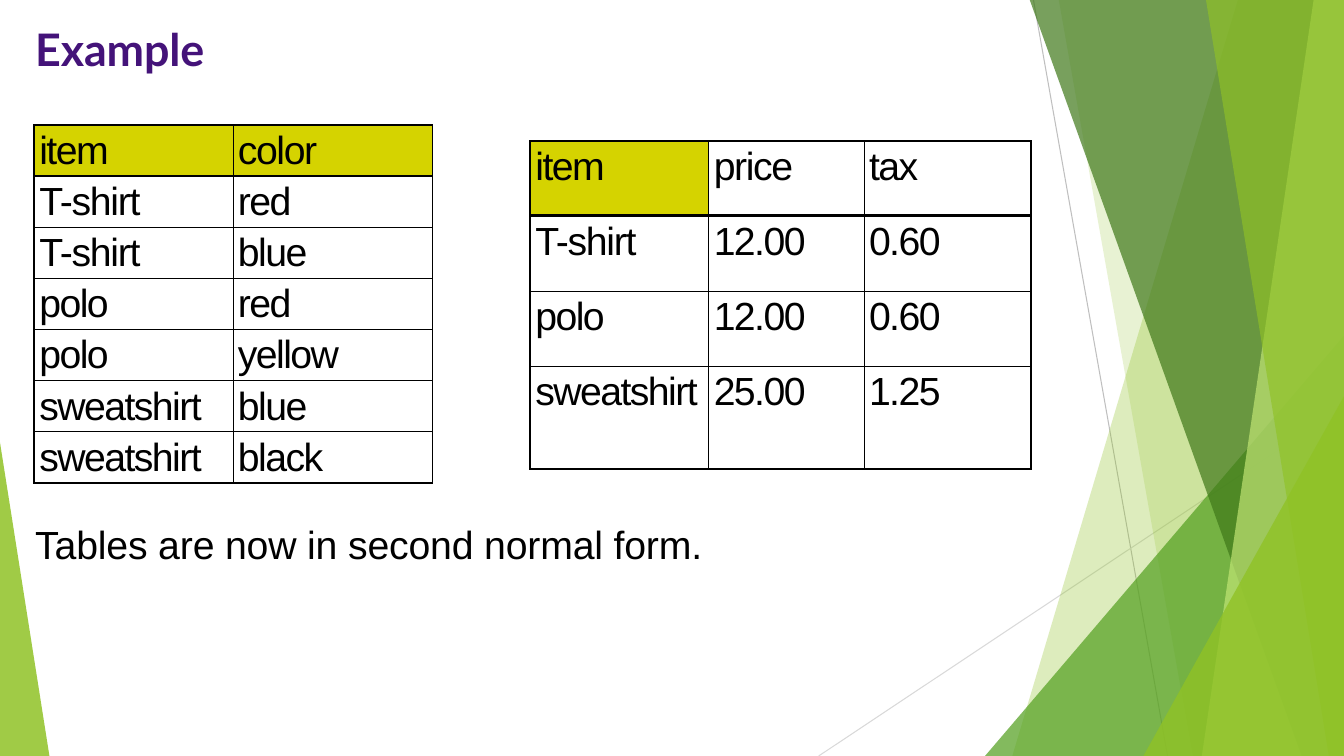
from lxml.etree import SubElement
from pptx import Presentation
from pptx.dml.color import RGBColor
from pptx.enum.shapes import MSO_CONNECTOR, MSO_SHAPE
from pptx.enum.text import MSO_ANCHOR
from pptx.oxml.ns import qn
from pptx.util import Inches, Pt

BLACK = RGBColor(0x00, 0x00, 0x00)
PURPLE = RGBColor(0x44, 0x13, 0x79)
KEY_YELLOW = RGBColor(0xD5, 0xD3, 0x00)
LIME = RGBColor(0x90, 0xC2, 0x26)
GREEN = RGBColor(0x54, 0xA0, 0x21)
DARK_GREEN = RGBColor(0x3F, 0x78, 0x19)
PALE_LIME = RGBColor(0xC0, 0xE4, 0x74)
GREY = RGBColor(0xBF, 0xBF, 0xBF)
LIGHT_GREY = RGBColor(0xD9, 0xD9, 0xD9)

WIDTH, HEIGHT = 13.33, 7.5
THIN, OUTER, HEADER = 0.5, 1.5, 2.25

COLORS = [
    ("item", "color"),
    ("T-shirt", "red"),
    ("T-shirt", "blue"),
    ("polo", "red"),
    ("polo", "yellow"),
    ("sweatshirt", "blue"),
    ("sweatshirt", "black"),
]
PRICES = [
    ("item", "price", "tax"),
    ("T-shirt", "12.00", "0.60"),
    ("polo", "12.00", "0.60"),
    ("sweatshirt", "25.00", "1.25"),
]


def add_ray(slide, start, end, color):
    ray = slide.shapes.add_connector(
        MSO_CONNECTOR.STRAIGHT, *map(Inches, start + end))
    ray.line.color.rgb = color
    ray.line.width = Pt(0.75)
    SubElement(ray._element.spPr, qn("a:effectLst"))


def paint(facet, color, opacity):
    """Fill a facet with a translucent colour and no outline."""
    facet.shadow.inherit = False
    facet.fill.solid()
    facet.fill.fore_color.rgb = color
    facet.line.fill.background()
    srgb = facet._element.spPr.find(qn("a:solidFill"))[0]
    SubElement(srgb, qn("a:alpha")).set("val", str(opacity * 1000))


def add_band(slide, top_x, bottom_x, color, opacity):
    """Draw a band from a slanted left edge to the slide's right edge."""
    top = -0.01
    builder = slide.shapes.build_freeform(Inches(top_x), Inches(top))
    corners = [(WIDTH, top), (WIDTH, HEIGHT), (bottom_x, HEIGHT)]
    builder.add_line_segments([(Inches(x), Inches(y)) for x, y in corners])
    paint(builder.convert_to_shape(), color, opacity)


def add_corner(slide, left, top, width, apex, color, opacity):
    """Draw a right triangle standing on the slide's bottom edge."""
    corner = slide.shapes.add_shape(
        MSO_SHAPE.ISOSCELES_TRIANGLE,
        *map(Inches, (left, top, width, HEIGHT - top)))
    corner.adjustments[0] = apex
    paint(corner, color, opacity)


def write(frame, text, spacing, **formats):
    run = frame.paragraphs[0].add_run()
    run.text = text
    run.font.color.rgb = formats.pop("color", BLACK)
    for name, value in formats.items():
        setattr(run.font, name, value)
    run._r.get_or_add_rPr().set("spc", str(round(spacing * 100)))


def add_text(slide, left, top, width, height, text, **formats):
    frame = slide.shapes.add_textbox(
        *map(Inches, (left, top, width, height))).text_frame
    frame.word_wrap = True
    margins = {"margin_left": 0.01, "margin_top": 0.02,
               "margin_right": 0, "margin_bottom": 0}
    for name, value in margins.items():
        setattr(frame, name, Inches(value))
    write(frame, text, -0.1, **formats)


def set_borders(cell, widths):
    tc_pr = cell._tc.get_or_add_tcPr()
    for side, points in widths.items():
        border = SubElement(tc_pr, qn(f"a:ln{side}"), w=str(Pt(points)))
        fill = SubElement(border, qn("a:solidFill"))
        SubElement(fill, qn("a:srgbClr"), val=str(BLACK))


def add_relation(slide, left, top, col_widths, row_heights, rows, key_columns):
    """Add a table whose key columns have a yellow header."""
    table = slide.shapes.add_table(
        len(rows), len(col_widths), Inches(left), Inches(top),
        Inches(sum(col_widths)), Inches(sum(row_heights))).table
    table.first_row = table.horz_banding = False
    for column, width in zip(table.columns, col_widths):
        column.width = Inches(width)
    for row, height in zip(table.rows, row_heights):
        row.height = Inches(height)

    last_row, last_col = len(rows) - 1, len(col_widths) - 1
    margins = {"margin_left": 0.05, "margin_top": 0.04,
               "margin_right": 0, "margin_bottom": 0}
    for r, values in enumerate(rows):
        for c, value in enumerate(values):
            cell = table.cell(r, c)
            for name, margin in margins.items():
                setattr(cell, name, Inches(margin))
            cell.vertical_anchor = MSO_ANCHOR.TOP
            set_borders(cell, {
                "L": OUTER if c == 0 else THIN,
                "R": OUTER if c == last_col else THIN,
                "T": {0: OUTER, 1: HEADER}.get(r, THIN),
                "B": {0: HEADER, last_row: OUTER}.get(r, THIN),
            })
            if r == 0 and c < key_columns:
                cell.fill.solid()
                cell.fill.fore_color.rgb = KEY_YELLOW
            else:
                cell.fill.background()
            spacing = {"T-shirt": -0.9, "color": -1, "price": -1}.get(value, -1.1)
            write(cell.text_frame, value, spacing, name="Arial", size=Pt(28))


def add_background(slide):
    add_ray(slide, (10.25, 0), (11.58, HEIGHT), GREY)
    add_ray(slide, (WIDTH, 4.03), (8.12, HEIGHT), LIGHT_GREY)
    add_band(slide, 12.28, 10.04, LIME, 30)
    add_band(slide, 10.5, 11.83, LIME, 20)
    add_corner(slide, 9.77, 3.33, 3.56, 1, GREEN, 72)
    add_band(slide, 10.21, 12.91, DARK_GREEN, 70)
    add_band(slide, 13.03, 11.92, PALE_LIME, 70)
    add_band(slide, 11.96, 13.18, LIME, 65)
    add_corner(slide, 11.34, 3.93, 1.99, 1, LIME, 80)
    add_corner(slide, 0, 4.39, 0.49, 0, LIME, 85)


def main():
    deck = Presentation()
    deck.slide_width, deck.slide_height = Inches(WIDTH), Inches(HEIGHT)
    slide = deck.slides.add_slide(deck.slide_layouts[6])

    # Green facets
    add_background(slide)

    # Title
    add_text(slide, 0.34, 0.2, 2.04, 0.55, "Example",
             name="Lato", size=Pt(32), bold=True, color=PURPLE)

    # Relations
    color_heights = [3.41 / len(COLORS)] * len(COLORS)
    add_relation(slide, 0.34, 1.24, [1.97, 1.98], color_heights, COLORS, 2)
    add_relation(slide, 5.26, 1.4, [1.77, 1.54, 1.66],
                 [0.74, 0.75, 0.74, 1.02], PRICES, 1)

    # Conclusion
    add_text(slide, 0.34, 5.14, 8.27, 0.49,
             "Tables are now in second normal form.",
             name="Arial", size=Pt(28))

    deck.save("out.pptx")


if __name__ == "__main__":
    main()
